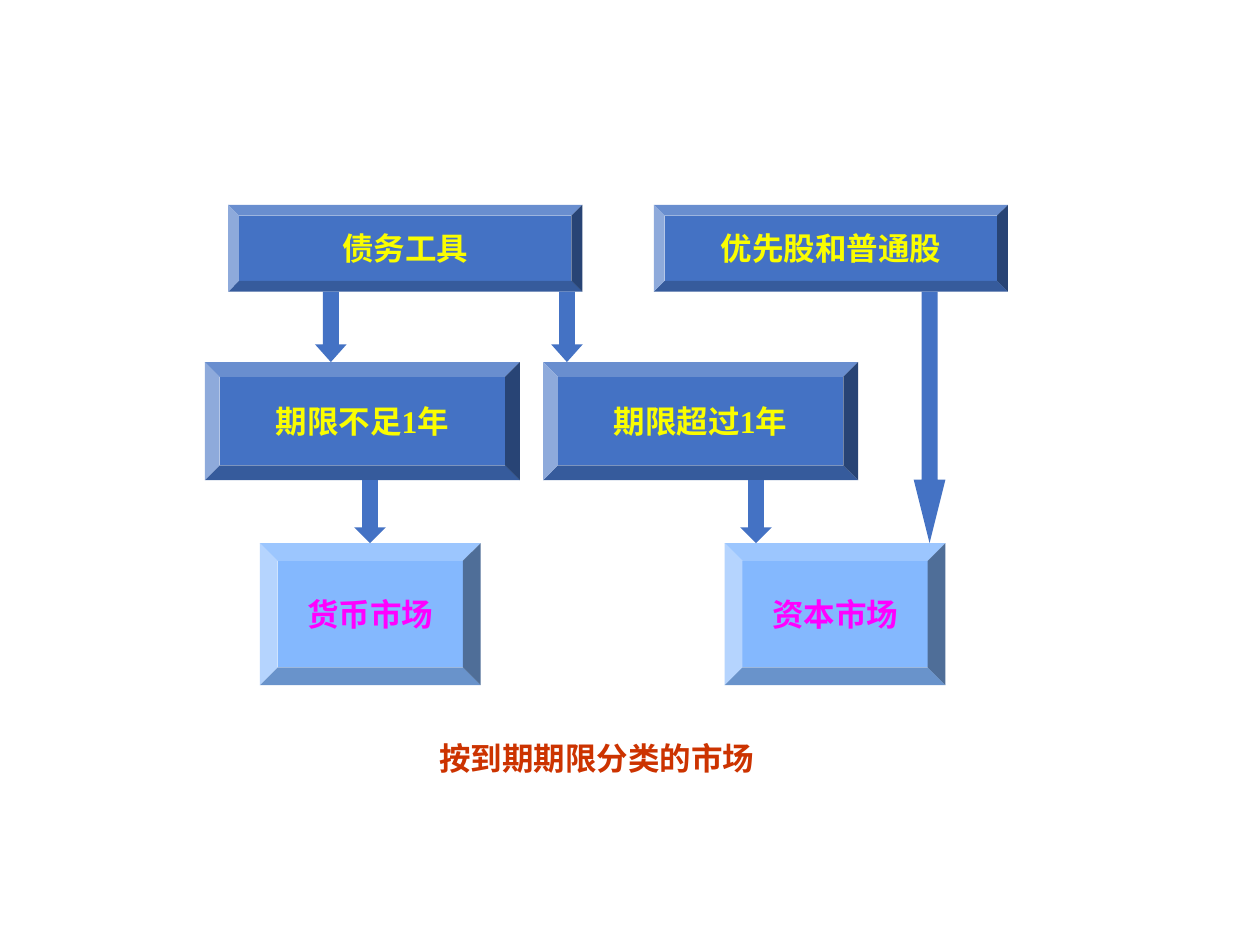
from pptx import Presentation, util as u
from pptx.dml.color import RGBColor
from pptx.enum import shapes, text

HUES = {"blue": "4472C4", "sky": "84B8FE", "yellow": "FAFD00",
        "pink": "FF00FF", "red": "CC3300"}


class Chart:
    """Style and current slide of the market flow chart."""
    font = "Times New Roman"
    size = u.Pt(18)

    def __init__(self, slide):
        self.slide = slide

    def hue(self, name):
        return RGBColor.from_string(HUES[name])

    def letter(self, frame, words, color):
        frame.text = words
        para = frame.paragraphs[0]
        para.alignment = text.PP_ALIGN.CENTER
        font = para.runs[0].font
        font.name, font.size, font.bold = self.font, self.size, True
        font.color.rgb = self.hue(color)

    def shape(self, kind, area, fill):
        item = self.slide.shapes.add_shape(kind, *map(u.Cm, area))
        item.shadow.inherit = False
        item.fill.solid()
        item.fill.fore_color.rgb = self.hue(fill)
        item.line.fill.background()
        return item

    def box(self, words, area, fill="blue", color="yellow"):
        item = self.shape(shapes.MSO_SHAPE.BEVEL, area, fill)
        frame = item.text_frame
        frame.word_wrap = False
        frame.vertical_anchor = text.MSO_ANCHOR.MIDDLE
        self.letter(frame, words, color)

    def arrow(self, left, top, end, head):
        area = (left, top, 0.64, end - top)
        item = self.shape(shapes.MSO_SHAPE.DOWN_ARROW, area, "blue")
        item.adjustments[1] = head

    def label(self, words, area, color):
        frame = self.slide.shapes.add_textbox(*map(u.Cm, area)).text_frame
        frame.word_wrap = True
        frame.auto_size = text.MSO_AUTO_SIZE.SHAPE_TO_FIT_TEXT
        self.letter(frame, words, color)


def main():
    deck = Presentation()
    deck.slide_width, deck.slide_height = u.Cm(25.4), u.Cm(19.05)
    chart = Chart(deck.slides.add_slide(deck.slide_layouts[6]))

    # Rows: top edge and height
    kind, term, market = (4.13, 1.75), (7.3, 2.38), (10.95, 2.86)

    # Markets
    for left, words in ((5.24, "货币市场"), (14.61, "资本市场")):
        chart.box(words, (left, market[0], 4.45, market[1]), "sky", "pink")

    # Instruments
    for left, words in ((4.6, "债务工具"), (13.18, "优先股和普通股")):
        chart.box(words, (left, kind[0], 7.14, kind[1]))

    # Terms
    for left, words in ((4.13, "期限不足1年"), (10.95, "期限超过1年")):
        chart.box(words, (left, term[0], 6.35, term[1]))

    # Arrows between rows
    for left in (6.35, 11.11):
        chart.arrow(left, sum(kind), term[0], 0.56)
    for left in (7.14, 14.92):
        chart.arrow(left, sum(term), market[0], 0.5)
    chart.arrow(18.42, sum(kind), market[0], 2)

    # Caption
    chart.label("按到期期限分类的市场", (6.71, 14.78, 10.64, 1.02), "red")

    deck.save("out.pptx")


if __name__ == "__main__":
    main()
